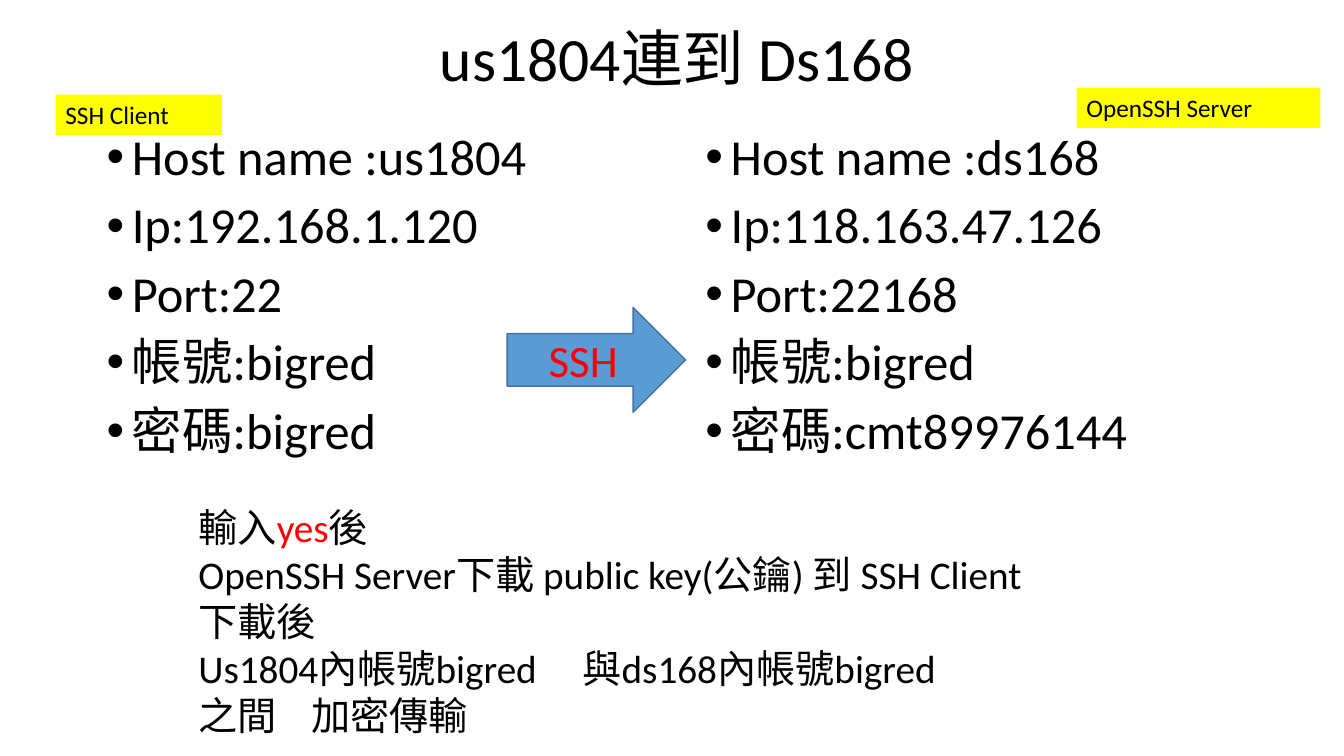
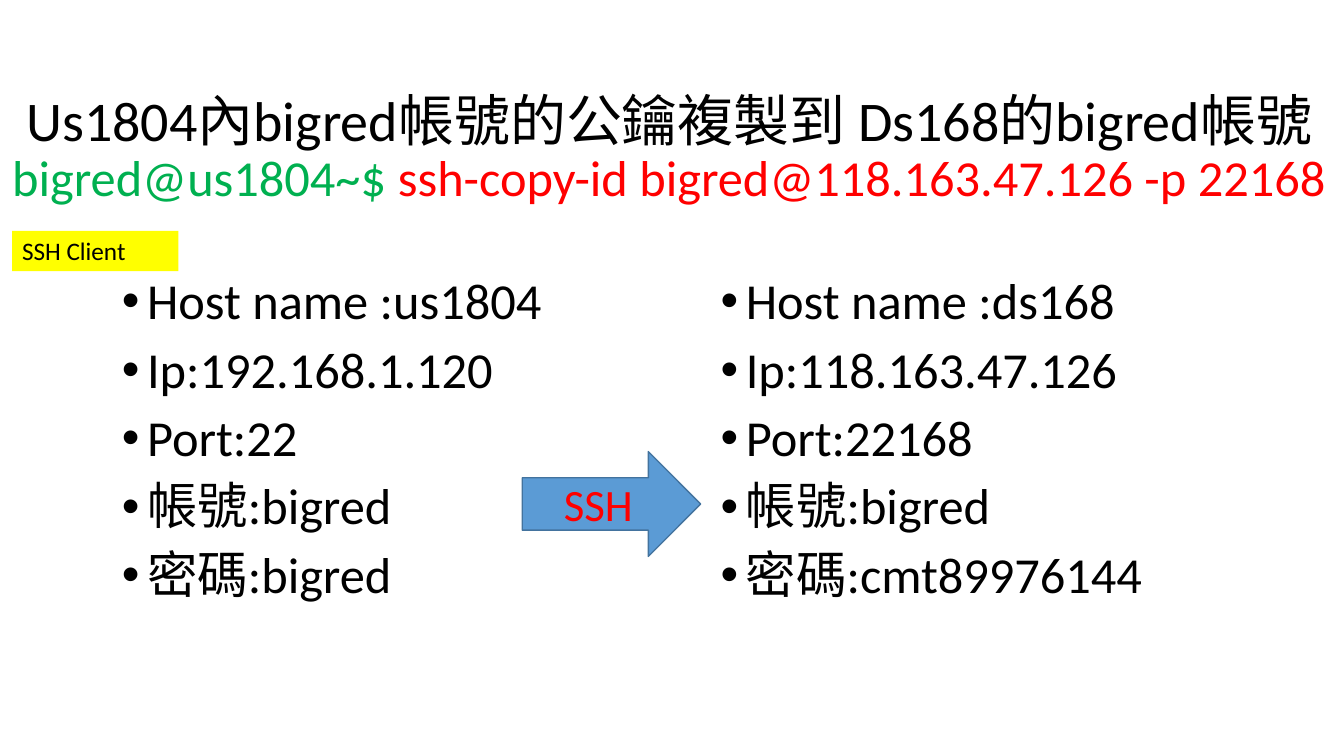
from typing import NamedTuple, Sequence

from lxml import etree
from pptx import Presentation
from pptx.dml.color import RGBColor
from pptx.enum.shapes import MSO_SHAPE
from pptx.enum.text import MSO_ANCHOR, PP_ALIGN
from pptx.oxml.ns import qn
from pptx.util import Inches, Pt

RECTANGLE = MSO_SHAPE.RECTANGLE
RIGHT_ARROW = MSO_SHAPE.RIGHT_ARROW
TOP = MSO_ANCHOR.TOP
MIDDLE = MSO_ANCHOR.MIDDLE
LEFT = PP_ALIGN.LEFT
CENTER = PP_ALIGN.CENTER

SLIDE_WIDTH = Inches(13.333)
SLIDE_HEIGHT = Inches(7.5)
FONT = "Calibri"
COLORS = {
    "text": "000000",
    "accent": "FF0000",
    "prompt": "00B050",
    "label": "FFFF00",
    "arrow": "5B9BD5",
    "arrow_edge": "43739E",
}
BULLET_INDENT = Inches(0.25)
NOTE_TABS = (Inches(1.12), Inches(3.81))


class Area(NamedTuple):
    """Percent shares of the slide's width and height."""
    left: float
    top: float
    width: float
    height: float


class Span(NamedTuple):
    text: str
    color: str = "text"
    size: float | None = None


class Label(NamedTuple):
    text: str
    area: Area


class HostPage(NamedTuple):
    title: Sequence[Sequence[Span]]
    title_area: Area
    title_size: float
    hosts_left: float
    hosts_top: float
    labels: Sequence[Label]
    notes: Sequence[Sequence[Span]] = ()


HOSTS = (
    ("Host name :us1804", "Ip:192.168.1.120", "Port:22", "帳號:bigred", "密碼:bigred"),
    ("Host name :ds168", "Ip:118.163.47.126", "Port:22168", "帳號:bigred", "密碼:cmt89976144"),
)
HOST_STEP = 44.55
HOST_WIDTH = 41.48
HOST_HEIGHT = 49.07
ARROW_OFFSET = (30.53, 23.87)
ARROW_SIZE = (13.28, 13.87)
NOTES_AREA = Area(14.03, 65.87, 80.03, 32.8)
LABEL_HEIGHT = 5.33
CLIENT_WIDTH = 12.38

PAGES = (
    HostPage(
        title=[[Span("us1804連到 Ds168")]],
        title_area=Area(7.5, 2.53, 85.73, 11.2),
        title_size=44,
        hosts_left=7.2,
        hosts_top=16.8,
        labels=[
            Label("SSH Client", Area(4.13, 12.53, CLIENT_WIDTH, LABEL_HEIGHT)),
            Label("OpenSSH Server", Area(80.1, 11.6, 18.15, LABEL_HEIGHT)),
        ],
        notes=[
            [Span("輸入"), Span("yes", "accent"), Span("後")],
            [Span("OpenSSH Server下載 public key(公鑰) 到 SSH Client")],
            [Span("下載後")],
            [Span("Us1804內帳號bigred\t與ds168內帳號bigred")],
            [Span("之間\t加密傳輸")],
        ],
    ),
    HostPage(
        title=[
            [Span("Us1804內bigred帳號的公鑰複製到 Ds168的bigred帳號")],
            [
                Span("bigred@us1804~$ ", "prompt", 36),
                Span("ssh-copy-id bigred@118.163.47.126 -p 22168", "accent", 36),
            ],
        ],
        title_area=Area(-0.83, 5.87, 101.25, 28),
        title_size=40,
        hosts_left=8.33,
        hosts_top=35.87,
        labels=[Label("SSH Client", Area(0.9, 30.53, CLIENT_WIDTH, LABEL_HEIGHT))],
    ),
)


def rgb(name: str) -> RGBColor:
    return RGBColor.from_string(COLORS[name])


def place(area: Area) -> tuple[int, int, int, int]:
    return (
        round(SLIDE_WIDTH * area.left / 100),
        round(SLIDE_HEIGHT * area.top / 100),
        round(SLIDE_WIDTH * area.width / 100),
        round(SLIDE_HEIGHT * area.height / 100),
    )


def add_bullet(para) -> None:
    properties = para._p.get_or_add_pPr()
    properties.set("marL", str(BULLET_INDENT))
    properties.set("indent", str(-BULLET_INDENT))
    etree.SubElement(properties, qn("a:buFont"), typeface="Arial")
    etree.SubElement(properties, qn("a:buChar"), char="•")


def add_tabs(para, stops: Sequence[int]) -> None:
    tab_list = etree.SubElement(para._p.get_or_add_pPr(), qn("a:tabLst"))
    for stop in stops:
        etree.SubElement(tab_list, qn("a:tab"), pos=str(stop), algn="l")


def write_text(shape, lines: Sequence[Sequence[Span]], *, size: float,
               align=LEFT, anchor=TOP, line_spacing: float = 1.0,
               space_before: float = 0, bullets: bool = False,
               tabs: Sequence[int] = ()) -> None:
    frame = shape.text_frame
    frame.word_wrap = True
    frame.vertical_anchor = anchor
    for index, line in enumerate(lines):
        para = frame.add_paragraph() if index else frame.paragraphs[0]
        if bullets:
            add_bullet(para)
        if tabs:
            add_tabs(para, tabs)
        para.alignment = align
        para.line_spacing = line_spacing
        para.space_before = Pt(space_before if index else 0)
        for span in line:
            run = para.add_run()
            run.text = span.text
            run.font.name = FONT
            run.font.size = Pt(span.size or size)
            run.font.color.rgb = rgb(span.color)


def add_text(page, area: Area, lines: Sequence[Sequence[Span]], **text_format) -> None:
    write_text(page.shapes.add_textbox(*place(area)), lines, **text_format)


def add_filled(page, kind, area: Area, span: Span, *, fill: str,
               edge: str | None = None, **text_format) -> None:
    shape = page.shapes.add_shape(kind, *place(area))
    shape.shadow.inherit = False
    shape.fill.solid()
    shape.fill.fore_color.rgb = rgb(fill)
    if edge:
        shape.line.color.rgb = rgb(edge)
        shape.line.width = Pt(1)
    else:
        shape.line.fill.background()
    write_text(shape, [[span]], **text_format)


def draw_hosts(page, left: float, top: float) -> None:
    for column, facts in enumerate(HOSTS):
        area = Area(left + column * HOST_STEP, top, HOST_WIDTH, HOST_HEIGHT)
        add_text(page, area, [[Span(fact)] for fact in facts], size=36,
                 line_spacing=0.9, space_before=10, bullets=True)
    arrow = Area(left + ARROW_OFFSET[0], top + ARROW_OFFSET[1], *ARROW_SIZE)
    add_filled(page, RIGHT_ARROW, arrow, Span("SSH", "accent"), fill="arrow",
               edge="arrow_edge", size=32, align=CENTER, anchor=MIDDLE)


def draw_page(deck, content: HostPage) -> None:
    page = deck.slides.add_slide(deck.slide_layouts[6])
    add_text(page, content.title_area, content.title, size=content.title_size,
             align=CENTER, anchor=MIDDLE, line_spacing=0.9)
    draw_hosts(page, content.hosts_left, content.hosts_top)
    if content.notes:
        add_text(page, NOTES_AREA, content.notes, size=28, tabs=NOTE_TABS)
    for label in content.labels:
        add_filled(page, RECTANGLE, label.area, Span(label.text), fill="label", size=18)


def main() -> None:
    deck = Presentation()
    deck.slide_width = SLIDE_WIDTH
    deck.slide_height = SLIDE_HEIGHT
    for content in PAGES:
        draw_page(deck, content)
    deck.save("out.pptx")


if __name__ == "__main__":
    main()
